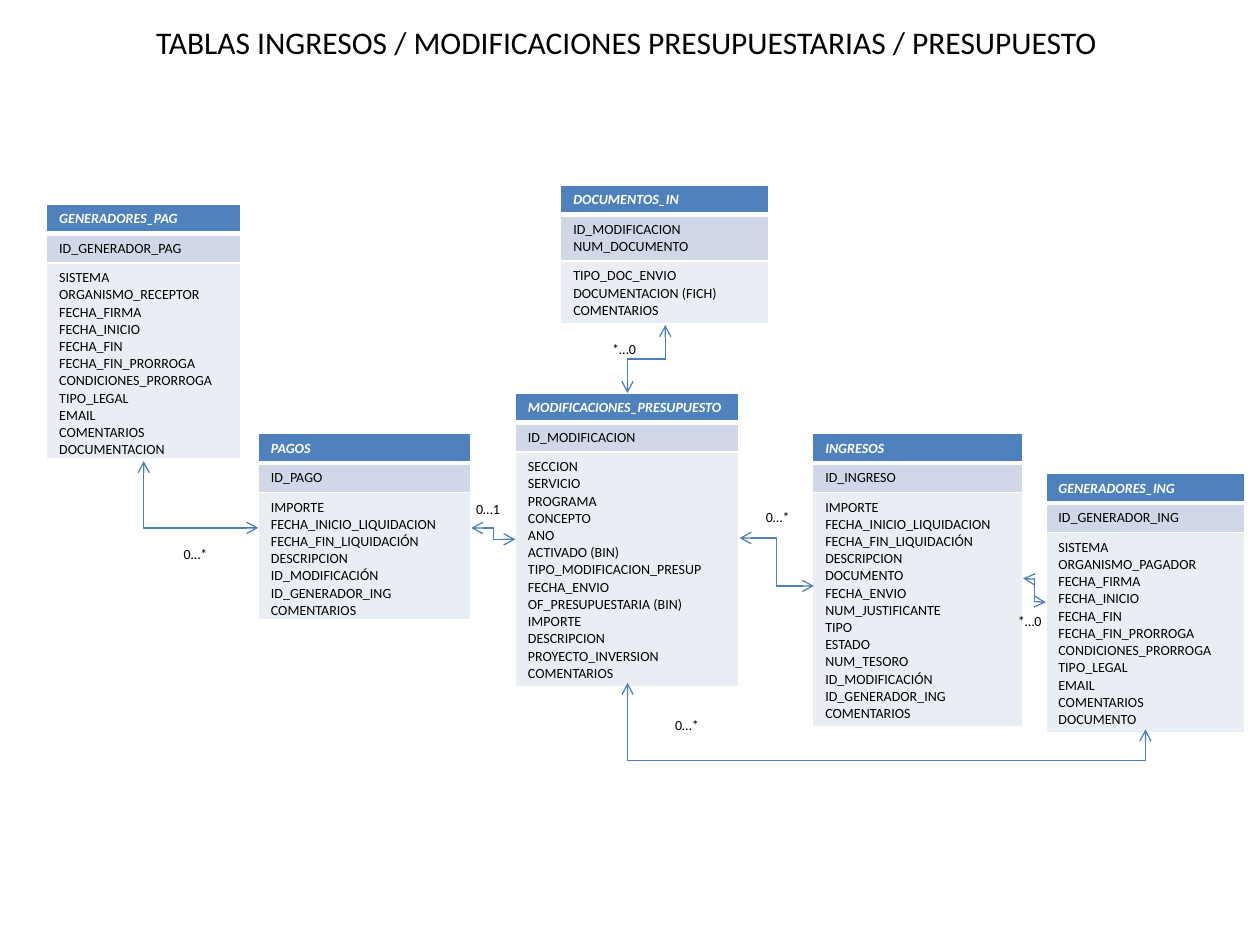
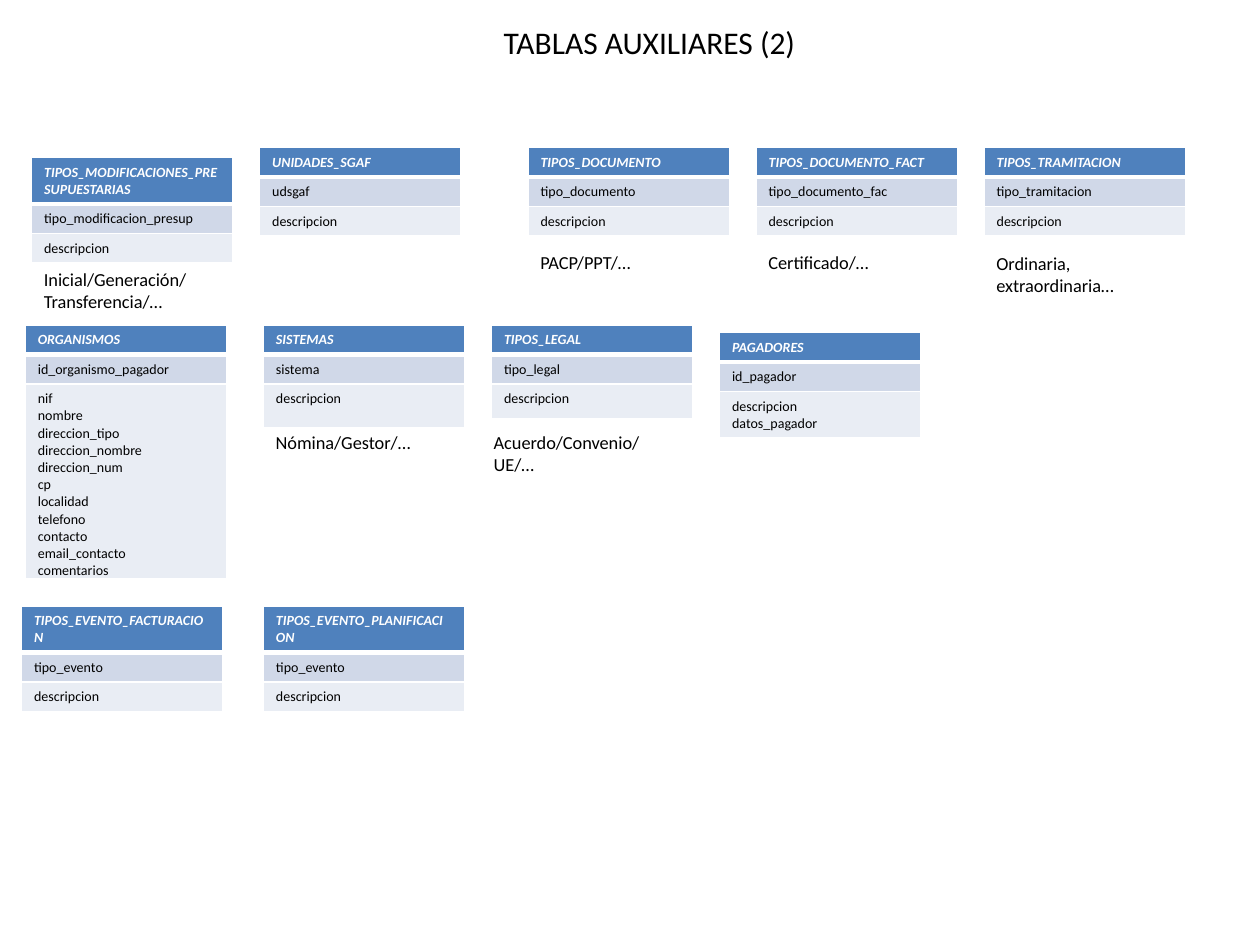
from math import ceil

from lxml import etree
from pptx import Presentation
from pptx import util as u
from pptx.dml.color import RGBColor
from pptx.enum import shapes, text
from pptx.oxml import ns

EMU_PER_PX = 9144
COLORS = {
    "header": "4F81BD",
    "key": "D0D8E8",
    "fields": "E9EDF4",
    "connector": "4B7EBC",
    "ink": "000000",
    "white": "FFFFFF",
}
BODY_FONT = {"name": "Calibri", "size": u.Pt(8), "bold": False, "italic": False}
HEADER_FONT = {**BODY_FONT, "bold": True, "italic": True}
NOTE_FONT = {**BODY_FONT, "size": u.Pt(10.5)}
TITLE_FONT = {**BODY_FONT, "size": u.Pt(18)}
TABLE_WIDTH = 160

MODEL_TABLES = [
    (830, 376, 158, "GENERADORES_ING", "ID_GENERADOR_ING",
     "SISTEMA, ORGANISMO_PAGADOR, FECHA_FIRMA, FECHA_INICIO, FECHA_FIN, FECHA_FIN_PRORROGA, "
     "CONDICIONES_PRORROGA, TIPO_LEGAL, EMAIL, COMENTARIOS, DOCUMENTO", {}),
    (409, 312, 177, "MODIFICACIONES_PRESUPUESTO", "ID_MODIFICACION",
     "SECCION, SERVICIO, PROGRAMA, CONCEPTO, ANO, ACTIVADO (BIN), TIPO_MODIFICACION_PRESUP, "
     "FECHA_ENVIO, OF_PRESUPUESTARIA (BIN), IMPORTE, DESCRIPCION, PROYECTO_INVERSION, COMENTARIOS", {}),
    (645, 344, 167, "INGRESOS", "ID_INGRESO",
     "IMPORTE, FECHA_INICIO_LIQUIDACION, FECHA_FIN_LIQUIDACIÓN, DESCRIPCION, DOCUMENTO, "
     "FECHA_ENVIO, NUM_JUSTIFICANTE, TIPO, ESTADO, NUM_TESORO, ID_MODIFICACIÓN, "
     "ID_GENERADOR_ING, COMENTARIOS", {}),
    (445, 147, 165, "DOCUMENTOS_IN", "ID_MODIFICACION, NUM_DOCUMENTO",
     "TIPO_DOC_ENVIO, DOCUMENTACION (FICH), COMENTARIOS", {}),
    (37, 162, 154, "GENERADORES_PAG", "ID_GENERADOR_PAG",
     "SISTEMA, ORGANISMO_RECEPTOR, FECHA_FIRMA, FECHA_INICIO, FECHA_FIN, FECHA_FIN_PRORROGA, "
     "CONDICIONES_PRORROGA, TIPO_LEGAL, EMAIL, COMENTARIOS, DOCUMENTACION", {"bottom": 1}),
    (205, 344, 169, "PAGOS", "ID_PAGO",
     "IMPORTE, FECHA_INICIO_LIQUIDACION, FECHA_FIN_LIQUIDACIÓN, DESCRIPCION, ID_MODIFICACIÓN, "
     "ID_GENERADOR_ING, COMENTARIOS", {"bottom": 1}),
]
RELATIONS = [
    (812, 459, 18, 19, {}),
    (587, 427, 59, 38, {"turn": 180}),
    (685, 355, 37, 411, {"turn": 270, "flip": True, "bend": 166800}),
    (486, 270, 54, 30, {"turn": 90}),
    (374, 419, 35, 9, {}),
    (133, 347, 53, 91, {"turn": 270, "flip": True, "bend": None}),
]
CARDINALITIES = [
    (526, 564, "0…*"), (598, 399, "0…*"), (798, 481, "*…0"),
    (476, 265, "*…0"), (368, 392, "0…1"), (136, 428, "0…*"),
]
AUXILIARY_TABLES = [
    (20, 258, "ORGANISMOS", "id_organismo_pagador",
     "nif, nombre, direccion_tipo, direccion_nombre, direccion_num, cp, localidad, telefono, "
     "contacto, email_contacto, comentarios", {"bottom": 1}),
    (209, 258, "SISTEMAS", "sistema", "descripcion", {"last_row": 35}),
    (390, 258, "TIPOS_LEGAL", "tipo_legal", "descripcion", {"last_row": 28}),
    (571, 264, "PAGADORES", "id_pagador", "descripcion, datos_pagador", {}),
    (781, 117, "TIPOS_TRAMITACION", "tipo_tramitacion", "descripcion", {}),
    (600, 117, "TIPOS_DOCUMENTO_FACT", "tipo_documento_fac", "descripcion", {}),
    (419, 117, "TIPOS_DOCUMENTO", "tipo_documento", "descripcion", {}),
    (206, 117, "UNIDADES_SGAF", "udsgaf", "descripcion", {}),
    (25, 125, "TIPOS_MODIFICACIONES_PRESUPUESTARIAS", "tipo_modificacion_presup", "descripcion", {}),
    (17, 481, "TIPOS_EVENTO_FACTURACION", "tipo_evento", "descripcion", {}),
    (209, 481, "TIPOS_EVENTO_PLANIFICACION", "tipo_evento", "descripcion", {}),
]
EXAMPLES = [
    (382, 337, 45, "Acuerdo/Convenio/UE/…"),
    (209, 337, 28, "Nómina/Gestor/…"),
    (781, 195, 45, "Ordinaria, extraordinaria…"),
    (600, 194, 28, "Certificado/…"),
    (419, 194, 28, "PACP/PPT/…"),
    (25, 208, 45, "Inicial/Generación/Transferencia/…"),
]


def px(length):
    """Turn px into EMU."""
    return u.Emu(length * EMU_PER_PX)


def apply(target, values):
    """Set each attribute of the target from the values."""
    for name, value in values.items():
        setattr(target, name, value)


def row_height(lines):
    """Give the height of a table row with this many lines."""
    return round(9.7 + 13.6 * lines)


class Diagram:
    """Holds the shared style and the current slide."""

    def __init__(self):
        """Start an empty presentation."""
        self.presentation = Presentation()
        apply(self.presentation, {"slide_width": px(1000), "slide_height": px(750)})
        self.slide = None

    def add_slide(self, title, align=text.PP_ALIGN.LEFT):
        """Start a slide with its title."""
        self.slide = self.presentation.slides.add_slide(self.presentation.slide_layouts[6])
        self.add_text(114, 13, 803, 40, title, TITLE_FONT, align)

    def style_text(self, frame, font, color, align=text.PP_ALIGN.LEFT):
        """Format every paragraph of a text frame."""
        for paragraph in frame.paragraphs:
            paragraph.alignment = align
            for run in paragraph.runs:
                apply(run.font, font)
                run.font.color.rgb = RGBColor.from_string(COLORS[color])

    def add_text(self, left, top, width, height, words, font, align=text.PP_ALIGN.LEFT):
        """Add a text box."""
        frame = self.slide.shapes.add_textbox(*map(px, (left, top, width, height))).text_frame
        apply(frame, {"word_wrap": True, "auto_size": text.MSO_AUTO_SIZE.SHAPE_TO_FIT_TEXT, "text": words})
        self.style_text(frame, font, "ink", align)

    def add_borders(self, cell, bottom_points):
        """Draw white borders round a cell."""
        properties = cell._tc.get_or_add_tcPr()
        for side, points in {"L": 1, "R": 1, "T": 1, "B": bottom_points}.items():
            line = etree.SubElement(properties, ns.qn(f"a:ln{side}"), w=str(u.Pt(points)))
            fill = etree.SubElement(line, ns.qn("a:solidFill"))
            etree.SubElement(fill, ns.qn("a:srgbClr"), val=COLORS["white"])

    def add_entity(self, left, top, width, name, key, fields, bottom=5, last_row=0):
        """Add a table with a name, a key and a list of fields."""
        keys, columns = key.split(", "), fields.split(", ")
        name_lines = ceil(len(name) * 6 / (width - 20))
        heights = [row_height(name_lines), row_height(len(keys)),
                   max(last_row, row_height(len(columns)) + bottom - 5)]
        table = self.slide.shapes.add_table(3, 1, *map(px, (left, top, width, sum(heights)))).table
        rows = [
            ([name], "header", HEADER_FONT, "white", 3),
            (keys, "key", BODY_FONT, "ink", 1),
            (columns, "fields", BODY_FONT, "ink", 1),
        ]
        for index, (lines, fill, font, color, border) in enumerate(rows):
            table.rows[index].height = px(heights[index])
            cell = table.cell(index, 0)
            cell.text = "\n".join(lines)
            self.style_text(cell.text_frame, font, color)
            self.add_borders(cell, border)
            cell.fill.solid()
            cell.fill.fore_color.rgb = RGBColor.from_string(COLORS[fill])
        cell.margin_bottom = px(bottom)

    def add_relation(self, left, top, width, height, turn=0, flip=False, bend=50000):
        """Add an elbow connector with an arrow at both ends."""
        ends = map(px, (left, top, left + width, top + height))
        connector = self.slide.shapes.add_connector(shapes.MSO_CONNECTOR.ELBOW, *ends)
        connector.line.width = u.Pt(0.75)
        connector.line.color.rgb = RGBColor.from_string(COLORS["connector"])
        properties = connector.element.spPr
        frame = properties.find(ns.qn("a:xfrm"))
        frame.set("rot", str(turn * 60000))
        if flip:
            frame.set("flipH", "1")
        geometry = properties.find(ns.qn("a:prstGeom"))
        if bend is None:
            geometry.set("prst", "bentConnector2")
        else:
            guides = geometry.find(ns.qn("a:avLst"))
            etree.SubElement(guides, ns.qn("a:gd"), name="adj1", fmla=f"val {bend}")
        line = properties.find(ns.qn("a:ln"))
        for end in ("headEnd", "tailEnd"):
            etree.SubElement(line, ns.qn(f"a:{end}"), type="arrow")
        etree.SubElement(properties, ns.qn("a:effectLst"))


def main():
    """Build both slides and save them."""
    diagram = Diagram()
    diagram.add_slide("TABLAS INGRESOS / MODIFICACIONES PRESUPUESTARIAS / PRESUPUESTO")
    for *entity, options in MODEL_TABLES:
        diagram.add_entity(*entity, **options)
    for *frame, options in RELATIONS:
        diagram.add_relation(*frame, **options)
    for left, top, words in CARDINALITIES:
        diagram.add_text(left, top, 47, 24, words, BODY_FONT)

    diagram.add_slide("TABLAS AUXILIARES (2)", text.PP_ALIGN.CENTER)
    for left, top, name, key, fields, options in AUXILIARY_TABLES:
        diagram.add_entity(left, top, TABLE_WIDTH, name, key, fields, **options)
    for left, top, height, words in EXAMPLES:
        diagram.add_text(left, top, 157, height, words, NOTE_FONT)
    diagram.presentation.save("out.pptx")


if __name__ == "__main__":
    main()
